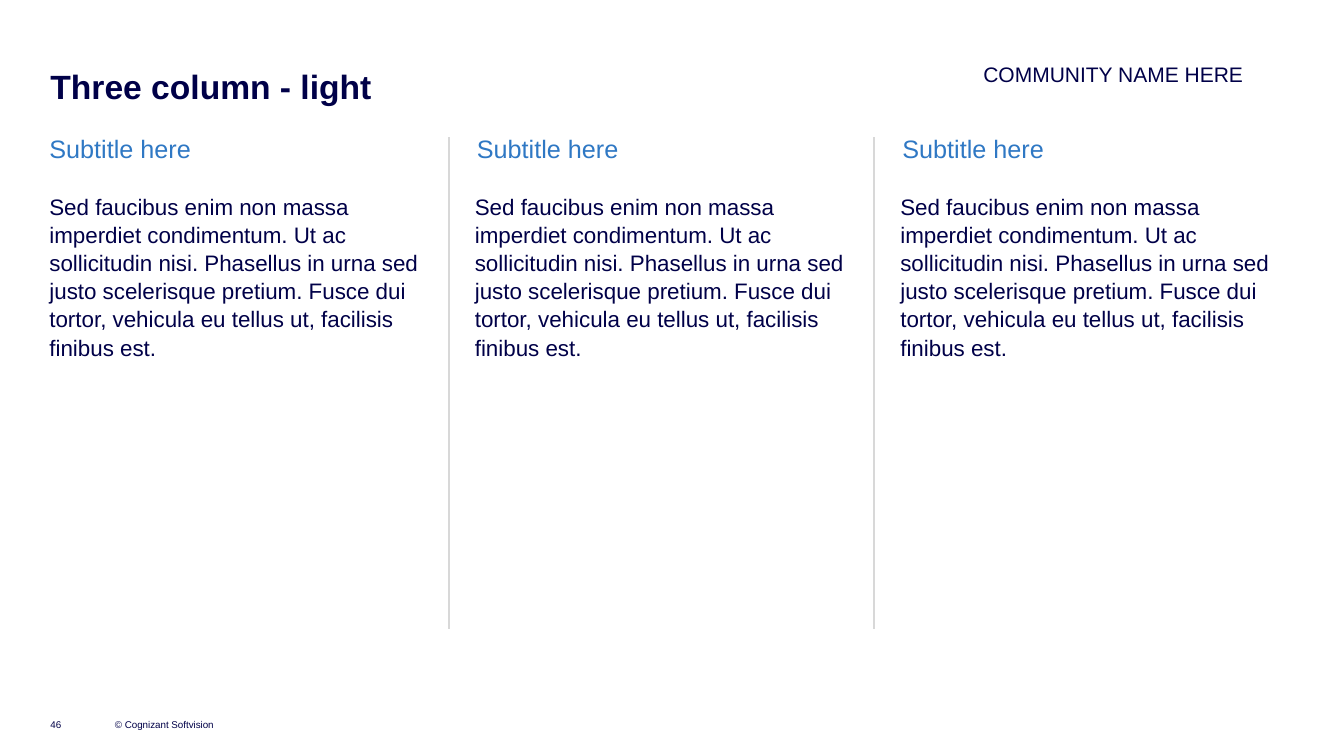
from dataclasses import dataclass

from lxml import etree
from pptx import Presentation
from pptx.dml.color import RGBColor
from pptx.enum.shapes import MSO_CONNECTOR
from pptx.enum.text import MSO_ANCHOR, PP_ALIGN
from pptx.oxml.ns import qn
from pptx.util import Inches, Pt

TOP, MIDDLE, BOTTOM = MSO_ANCHOR.TOP, MSO_ANCHOR.MIDDLE, MSO_ANCHOR.BOTTOM
LEFT, RIGHT = PP_ALIGN.LEFT, PP_ALIGN.RIGHT
STRAIGHT = MSO_CONNECTOR.STRAIGHT

TITLE = "Three column - light"
GROUP = "COMMUNITY NAME HERE"
BODY = (
    "Sed faucibus enim non massa imperdiet condimentum. Ut ac sollicitudin "
    "nisi. Phasellus in urna sed justo scelerisque pretium. Fusce dui tortor, "
    "vehicula eu tellus ut, facilisis finibus est."
)
COLUMNS = [("Subtitle here", BODY)] * 3
PAGE = "46"
RIGHTS = "© Cognizant Softvision"


@dataclass(frozen=True)
class Theme:
    font: str = "Arial"
    ink: str = "000048"
    accent: str = "2F78C4"
    rule: str = "D8D8D8"
    title: int = 24
    subtitle: int = 18
    body: int = 16
    group: int = 15
    small: int = 7


THEME = Theme()
WIDTH, HEIGHT = 13.33, 7.5
MARGIN = 0.5
HEAD_TOP = 0.61
FOOT_TOP, FOOT_HIGH = 7.04, 0.21

# Column grid
START, PITCH = 0.49, 4.22
WIDE, LAST_WIDE = 3.84, 3.9
NUDGE = 0.02  # subtitles right of a rule
SUB_TOP, BODY_TOP = 1.31, 1.9
RULE_GAP = 0.26
RULE_TOP, RULE_END = 1.36, 6.24


def add_text(slide, text, box, size, color=THEME.ink, bold=False,
             align=LEFT, anchor=TOP, lead=1.0):
    shape = slide.shapes.add_textbox(*map(Inches, box))
    frame = shape.text_frame
    frame.word_wrap = True
    frame.vertical_anchor = anchor
    frame.margin_left = frame.margin_right = 0
    frame.margin_top = frame.margin_bottom = 0
    para = frame.paragraphs[0]
    para.alignment = align
    para.line_spacing = lead
    run = para.add_run()
    run.text = text
    font = run.font
    font.name, font.size, font.bold = THEME.font, Pt(size), bold
    font.color.rgb = RGBColor.from_string(color)


def add_rule(slide, x):
    """Draw the upright line between two columns."""
    line = slide.shapes.add_connector(
        STRAIGHT, Inches(x), Inches(RULE_TOP), Inches(x), Inches(RULE_END))
    line.line.color.rgb = RGBColor.from_string(THEME.rule)
    line.line.width = Pt(1.25)
    etree.SubElement(line._element.spPr, qn("a:effectLst"))


def add_column(slide, index, subtitle, body):
    x = START + index * PITCH
    wide = LAST_WIDE if index == len(COLUMNS) - 1 else WIDE
    shift = NUDGE if index else 0
    add_text(slide, subtitle, (x + shift, SUB_TOP, wide, 0.31),
             THEME.subtitle, color=THEME.accent, lead=1.05)
    add_text(slide, body, (x, BODY_TOP, wide, 4.41), THEME.body, lead=1.05)
    if index:
        add_rule(slide, x - RULE_GAP)


def main():
    deck = Presentation()
    deck.slide_width, deck.slide_height = Inches(WIDTH), Inches(HEIGHT)
    slide = deck.slides.add_slide(deck.slide_layouts[6])

    add_text(slide, RIGHTS, (1.14, FOOT_TOP, 1.31, FOOT_HIGH),
             THEME.small, anchor=BOTTOM)
    add_text(slide, PAGE, (MARGIN, FOOT_TOP, 0.39, FOOT_HIGH),
             THEME.small, anchor=BOTTOM)
    for index, (subtitle, body) in enumerate(COLUMNS):
        add_column(slide, index, subtitle, body)
    add_text(slide, TITLE, (MARGIN, HEAD_TOP, 11.82, 0.34),
             THEME.title, bold=True, lead=1.1)
    add_text(slide, GROUP, (8.9, HEAD_TOP, 3.43, 0.25),
             THEME.group, align=RIGHT, anchor=MIDDLE)
    deck.save("out.pptx")


if __name__ == "__main__":
    main()
